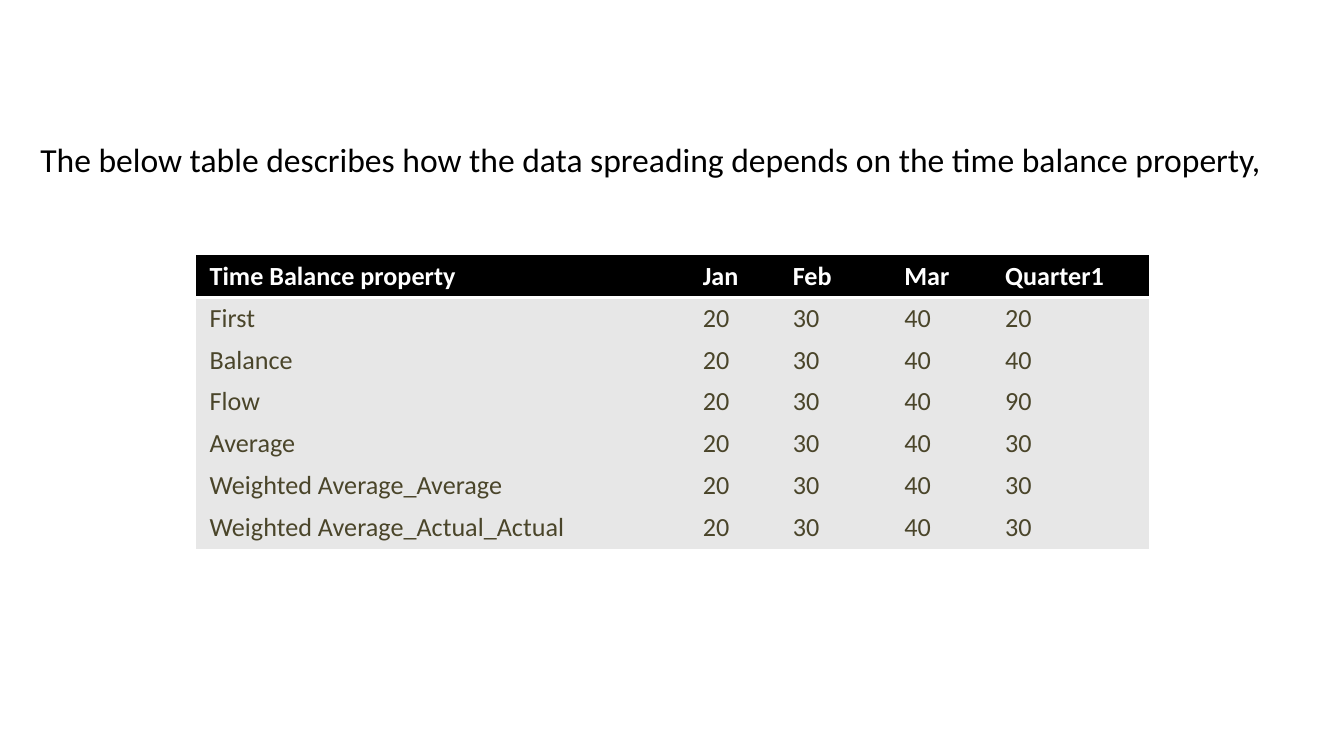
from dataclasses import dataclass

from lxml.etree import SubElement
from pptx import Presentation
from pptx.dml.color import RGBColor
from pptx.enum.text import MSO_ANCHOR, MSO_AUTO_SIZE, PP_ALIGN
from pptx.oxml import parse_xml
from pptx.oxml.ns import nsdecls, qn
from pptx.slide import Slide
from pptx.table import _Cell
from pptx.util import Inches, Pt


@dataclass(frozen=True)
class Theme:
    font: str = "Calibri"
    intro_size: float = 18
    table_size: float = 14
    black: str = "000000"
    white: str = "FFFFFF"
    row_fill: str = "E7E7E7"
    row_text: str = "4A452A"
    plain_table: str = "{2D5ABB26-0587-4C30-8999-92F81FD0307C}"


@dataclass(frozen=True)
class Spreading:
    balance: str
    quarter: int
    months: tuple[int, ...] = (20, 30, 40)

    def texts(self) -> list[str]:
        return [self.balance, *map(str, self.months), str(self.quarter)]


THEME = Theme()
SLIDE_WIDTH = 10
SLIDE_HEIGHT = SLIDE_WIDTH * 9 / 16
INTRO = "The below table describes how the data spreading depends on the time balance property,"
HEADINGS = ["Time Balance property", "Jan", "Feb", "Mar", "Quarter1"]
SPREADINGS = [
    Spreading("First", 20),
    Spreading("Balance", 40),
    Spreading("Flow", 90),
    Spreading("Average", 30),
    Spreading("Weighted Average_Average", 30),
    Spreading("Weighted Average_Actual_Actual", 30),
]
COLUMN_WIDTHS = [3.67, 0.67, 0.83, 0.75, 1.17]
ROW_HEIGHT = 0.31


def write_intro(slide: Slide) -> None:
    intro = slide.placeholders[1]
    intro.left, intro.top = Inches(0), Inches(0.73)
    intro.width, intro.height = Inches(SLIDE_WIDTH), Inches(4.9)
    frame = intro.text_frame
    frame.text = INTRO
    frame.word_wrap = True
    frame.auto_size = MSO_AUTO_SIZE.NONE
    frame.vertical_anchor = MSO_ANCHOR.TOP
    frame.margin_left = frame.margin_right = Inches(0.3)
    frame.margin_top = frame.margin_bottom = Inches(0.3)
    sentence = frame.paragraphs[0]
    sentence.alignment = PP_ALIGN.JUSTIFY
    sentence.space_before = Pt(12)
    sentence.font.name = THEME.font
    sentence.font.size = Pt(THEME.intro_size)
    sentence.font.color.rgb = RGBColor.from_string(THEME.black)
    properties = sentence._p.get_or_add_pPr()
    properties.set("marL", "0")
    properties.set("indent", "0")
    bullet = SubElement(properties, qn("a:buNone"))
    properties.find(qn("a:defRPr")).addprevious(bullet)


def fill_cell(cell: _Cell, text: str, heading: bool) -> None:
    cell.text = text
    cell.margin_left = cell.margin_right = Inches(0.1)
    cell.margin_top = cell.margin_bottom = Inches(0.3 / 8)
    cell.fill.solid()
    cell.fill.fore_color.rgb = RGBColor.from_string(THEME.black if heading else THEME.row_fill)
    font = cell.text_frame.paragraphs[0].font
    font.name = THEME.font
    font.size = Pt(THEME.table_size)
    font.bold = heading
    font.color.rgb = RGBColor.from_string(THEME.white if heading else THEME.row_text)
    if heading:
        rule = parse_xml(
            f'<a:lnB {nsdecls("a")} w="{Pt(2)}"><a:solidFill>'
            f'<a:srgbClr val="{THEME.white}"/></a:solidFill></a:lnB>'
        )
        cell._tc.get_or_add_tcPr().insert(0, rule)


def draw_spreading_table(slide: Slide) -> None:
    rows = [HEADINGS, *(spreading.texts() for spreading in SPREADINGS)]
    frame = slide.shapes.add_table(
        len(rows), len(HEADINGS), Inches(1.46), Inches(1.9),
        Inches(sum(COLUMN_WIDTHS)), Inches(ROW_HEIGHT * len(rows)),
    )
    table = frame.table
    table.horz_banding = False
    table._tbl.tblPr.find(qn("a:tableStyleId")).text = THEME.plain_table
    for column, width in zip(table.columns, COLUMN_WIDTHS):
        column.width = Inches(width)
    for index, texts in enumerate(rows):
        table.rows[index].height = Inches(ROW_HEIGHT)
        for cell, text in zip(table.rows[index].cells, texts):
            fill_cell(cell, text, heading=index == 0)


def main() -> None:
    deck = Presentation()
    deck.slide_width, deck.slide_height = Inches(SLIDE_WIDTH), Inches(SLIDE_HEIGHT)
    slide = deck.slides.add_slide(deck.slide_layouts[1])
    unused_title = slide.shapes.title.element
    unused_title.getparent().remove(unused_title)
    write_intro(slide)
    draw_spreading_table(slide)
    deck.save("out.pptx")


if __name__ == "__main__":
    main()
